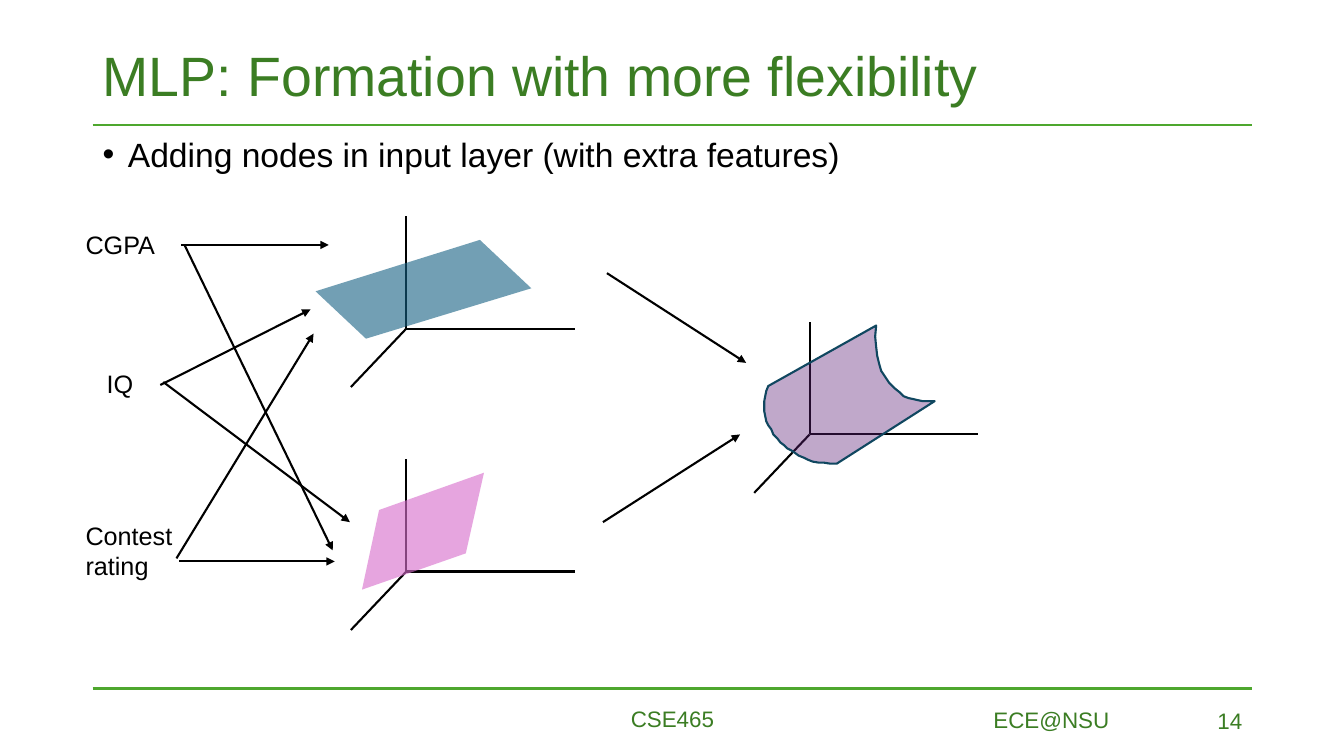
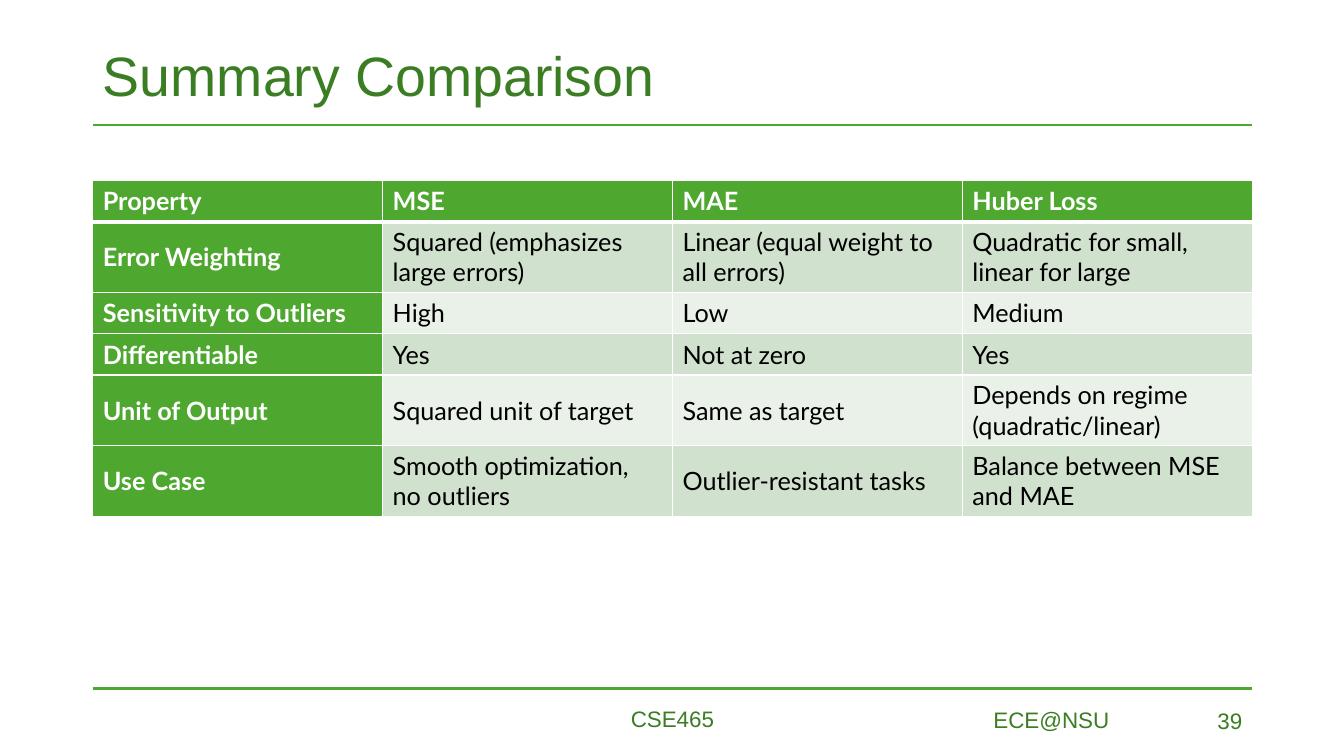
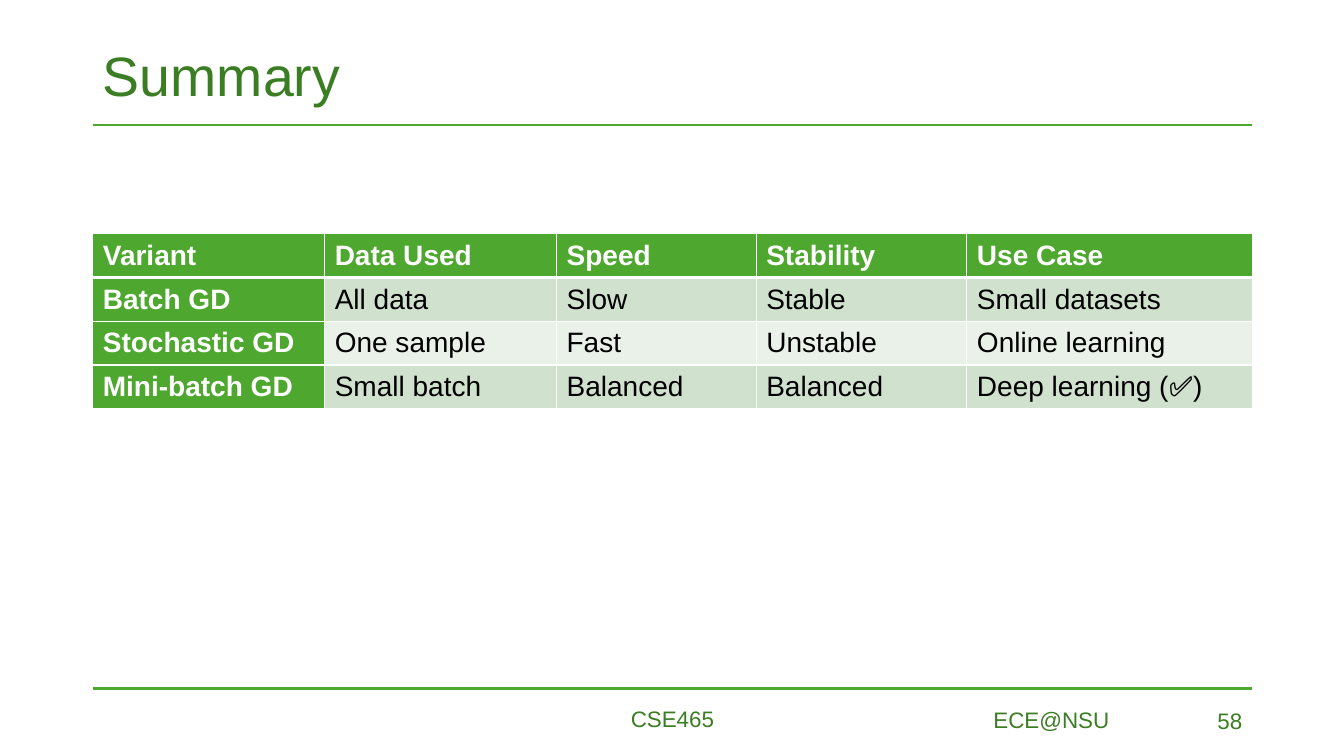
from lxml.etree import SubElement
from pptx import Presentation
from pptx.dml.color import RGBColor
from pptx.enum.shapes import MSO_CONNECTOR
from pptx.enum.text import MSO_ANCHOR, MSO_AUTO_SIZE, PP_ALIGN
from pptx.oxml.ns import qn
from pptx.util import Emu, Pt

# Shared style: 100 px to the inch
PX = 9144
GREEN, DARK_GREEN = "4EA72E", "3B7D23"
BAND_DARK, BAND_LIGHT = "D0E1CD", "E9F1E8"
BLACK, WHITE, OUTLINE = "000000", "FFFFFF", "104760"
SANS, TABLE_FONT = "Arial", "Lato"
LEFT, WIDTH = 92, 1150
RULE_HEIGHTS = (124, 683)


def px(value):
    return Emu(round(value * PX))


def rgb(color):
    return RGBColor.from_string(color)


def add_run(paragraph, text, size, color, font=SANS, bold=False):
    run = paragraph.add_run()
    run.text = text
    run.font.size = Pt(size)
    run.font.name = font
    run.font.bold = bold
    run.font.color.rgb = rgb(color)


def add_text(slide, box, text, size, color=BLACK, align=PP_ALIGN.LEFT, anchor=MSO_ANCHOR.TOP):
    frame = slide.shapes.add_textbox(*map(px, box)).text_frame
    frame.word_wrap = True
    frame.vertical_anchor = anchor
    paragraph = frame.paragraphs[0]
    paragraph.alignment = align
    add_run(paragraph, text, size, color)
    return paragraph


def add_bullet(slide, box, text, size):
    paragraph = add_text(slide, box, text, size)
    paragraph.line_spacing = 0.9
    properties = paragraph._p.get_or_add_pPr()
    properties.set("marL", str(px(25)))
    properties.set("indent", str(px(-25)))
    SubElement(properties, qn("a:buFont"), typeface=SANS)
    SubElement(properties, qn("a:buChar"), char="•")


def add_line(slide, start, end, color=BLACK, weight=1.5, arrow=False):
    line = slide.shapes.add_connector(MSO_CONNECTOR.STRAIGHT, *map(px, start + end))
    line.line.color.rgb = rgb(color)
    line.line.width = Pt(weight)
    if arrow:
        SubElement(line.line._get_or_add_ln(), qn("a:tailEnd"), type="triangle")
    SubElement(line._element.spPr, qn("a:effectLst"))


def add_surface(slide, points, color, opacity, outline=None):
    builder = slide.shapes.build_freeform(*points[0], scale=PX)
    builder.add_line_segments(points[1:], close=True)
    surface = builder.convert_to_shape()
    surface.shadow.inherit = False
    surface.fill.solid()
    surface.fill.fore_color.rgb = rgb(color)
    tint = surface.fill._xPr.find(qn("a:solidFill"))[0]
    SubElement(tint, qn("a:alpha"), val=str(opacity * 1000))
    if outline:
        surface.line.color.rgb = rgb(outline)
        surface.line.width = Pt(1.5)
    else:
        surface.line.fill.background()


def curve(start, *segments, steps=8):
    """Points along joined cubic Bezier segments."""
    points = [start]
    for segment in segments:
        corners = (points[-1], *segment)
        for step in range(1, steps + 1):
            t = step / steps
            weights = ((1 - t) ** 3, 3 * t * (1 - t) ** 2, 3 * t * t * (1 - t), t ** 3)
            points.append(tuple(sum(w * c[axis] for w, c in zip(weights, corners))
                                for axis in (0, 1)))
    return points


def add_axes(slide, x, y):
    for tip in ((x, y - 112), (x + 167, y), (x - 55, y + 58)):
        add_line(slide, (x, y), tip)


def set_borders(cell, top, bottom):
    properties = cell._tc.get_or_add_tcPr()
    weights = {"lnL": 1, "lnR": 1, "lnT": top, "lnB": bottom}
    for position, (side, weight) in enumerate(weights.items()):
        border = SubElement(properties, qn(f"a:{side}"), w=str(Pt(weight)))
        fill = SubElement(border, qn("a:solidFill"))
        SubElement(fill, qn("a:srgbClr"), val=WHITE)
        properties.insert(position, border)


def add_grid(slide, top, widths, heights, rows, size, font):
    table = slide.shapes.add_table(len(rows), len(widths), px(LEFT), px(top),
                                   px(sum(widths)), px(sum(heights))).table
    table.first_col = True
    table.horz_banding = False
    for column, width in zip(table.columns, widths):
        column.width = px(width)
    for r, (row, height) in enumerate(zip(rows, heights)):
        table.rows[r].height = px(height)
        for c, text in enumerate(row):
            cell = table.cell(r, c)
            heading = r == 0 or c == 0
            band = BAND_DARK if r % 2 else BAND_LIGHT
            cell.vertical_anchor = MSO_ANCHOR.MIDDLE
            cell.fill.solid()
            cell.fill.fore_color.rgb = rgb(GREEN if heading else band)
            set_borders(cell, top=3 if r == 1 else 1, bottom=3 if r == 0 else 1)
            add_run(cell.text_frame.paragraphs[0], text, size,
                    WHITE if heading else BLACK, font, heading)


def start_slide(deck, heading, number):
    """Title, rules and footer that every slide has."""
    slide = deck.slides.add_slide(deck.slide_layouts[5])
    title = slide.shapes.title
    title.left, title.top, title.width, title.height = map(px, (LEFT, 40, WIDTH, 75))
    title.text_frame.auto_size = MSO_AUTO_SIZE.NONE
    title.text_frame.vertical_anchor = MSO_ANCHOR.MIDDLE
    paragraph = title.text_frame.paragraphs[0]
    paragraph.alignment = PP_ALIGN.LEFT
    paragraph.line_spacing = 0.9
    add_run(paragraph, heading, 39.6, DARK_GREEN)
    for y in RULE_HEIGHTS:
        add_line(slide, (LEFT, y), (LEFT + WIDTH, y), GREEN, 2)
    add_text(slide, (949, 694, 161, 39), "ECE@NSU", 16, DARK_GREEN,
             PP_ALIGN.RIGHT, MSO_ANCHOR.MIDDLE)
    add_text(slide, (442, 695, 450, 40), "CSE465", 16, DARK_GREEN, PP_ALIGN.CENTER)
    add_text(slide, (942, 695, 300, 40), str(number), 16, DARK_GREEN,
             PP_ALIGN.RIGHT, MSO_ANCHOR.MIDDLE)
    return slide


def build_mlp(deck):
    slide = start_slide(deck, "MLP: Formation with more flexibility", 14)
    add_bullet(slide, (LEFT, 132, WIDTH, 50),
               "Adding nodes in input layer (with extra features)", 24)

    # Decision planes of the hidden nodes
    add_axes(slide, 403, 326)
    add_surface(slide, [(313, 289), (476, 238), (527, 286), (363, 336)], "156082", 60)
    add_axes(slide, 403, 567)
    add_surface(slide, [(359, 585), (376, 506), (480, 469), (462, 549)], "D86ECC", 62)

    # Curved surface of the output node
    add_axes(slide, 803, 431)
    lower_edge = curve((762, 383),
                       ((757, 395), (757, 412), (762, 422)),
                       ((768, 434), (780, 446), (788, 449)),
                       ((799, 457), (812, 460), (830, 460)))
    upper_edge = curve((927, 398),
                       ((910, 398), (900, 398), (887, 385)),
                       ((873, 371), (866, 355), (869, 323)))
    add_surface(slide, lower_edge + upper_edge, "5E2177", 39, OUTLINE)

    # Input features
    for feature, x, y, height in (("CGPA", 75, 223, 40), ("IQ", 96, 360, 40),
                                  ("Contest rating", 75, 511, 71)):
        add_text(slide, (x, y, 117, height), feature, 18)

    # Connections between the layers
    for start, end in (((180, 243), (326, 243)), ((183, 243), (330, 546)),
                       ((159, 382), (308, 307)), ((162, 379), (347, 518)),
                       ((175, 554), (311, 331)), ((178, 557), (332, 557)),
                       ((602, 271), (740, 360)), ((598, 518), (734, 431))):
        add_line(slide, start, end, arrow=True)


def build_loss_comparison(deck):
    slide = start_slide(deck, "Summary Comparison", 39)
    losses = [
        ("Property", "MSE", "MAE", "Huber Loss"),
        ("Error Weighting", "Squared (emphasizes large errors)",
         "Linear (equal weight to all errors)", "Quadratic for small, linear for large"),
        ("Sensitivity to Outliers", "High", "Low", "Medium"),
        ("Differentiable", "Yes", "Not at zero", "Yes"),
        ("Unit of Output", "Squared unit of target", "Same as target",
         "Depends on regime (quadratic/linear)"),
        ("Use Case", "Smooth optimization, no outliers", "Outlier-resistant tasks",
         "Balance between MSE and MAE"),
    ]
    add_grid(slide, 179, [WIDTH / 4] * 4, [41, 70, 41, 41, 70, 70], losses, 18, TABLE_FONT)


def build_descent_summary(deck):
    slide = start_slide(deck, "Summary", 58)
    variants = [
        ("Variant", "Data Used", "Speed", "Stability", "Use Case"),
        ("Batch GD", "All data", "Slow", "Stable", "Small datasets"),
        ("Stochastic GD", "One sample", "Fast", "Unstable", "Online learning"),
        ("Mini-batch GD", "Small batch", "Balanced", "Balanced", "Deep learning (✅)"),
    ]
    add_grid(slide, 232, [230, 230, 198, 209, 283], [41] * 4, variants, 20, SANS)


def main():
    deck = Presentation()
    deck.slide_width, deck.slide_height = px(1333), px(750)
    build_mlp(deck)
    build_loss_comparison(deck)
    build_descent_summary(deck)
    deck.save("out.pptx")


if __name__ == "__main__":
    main()
